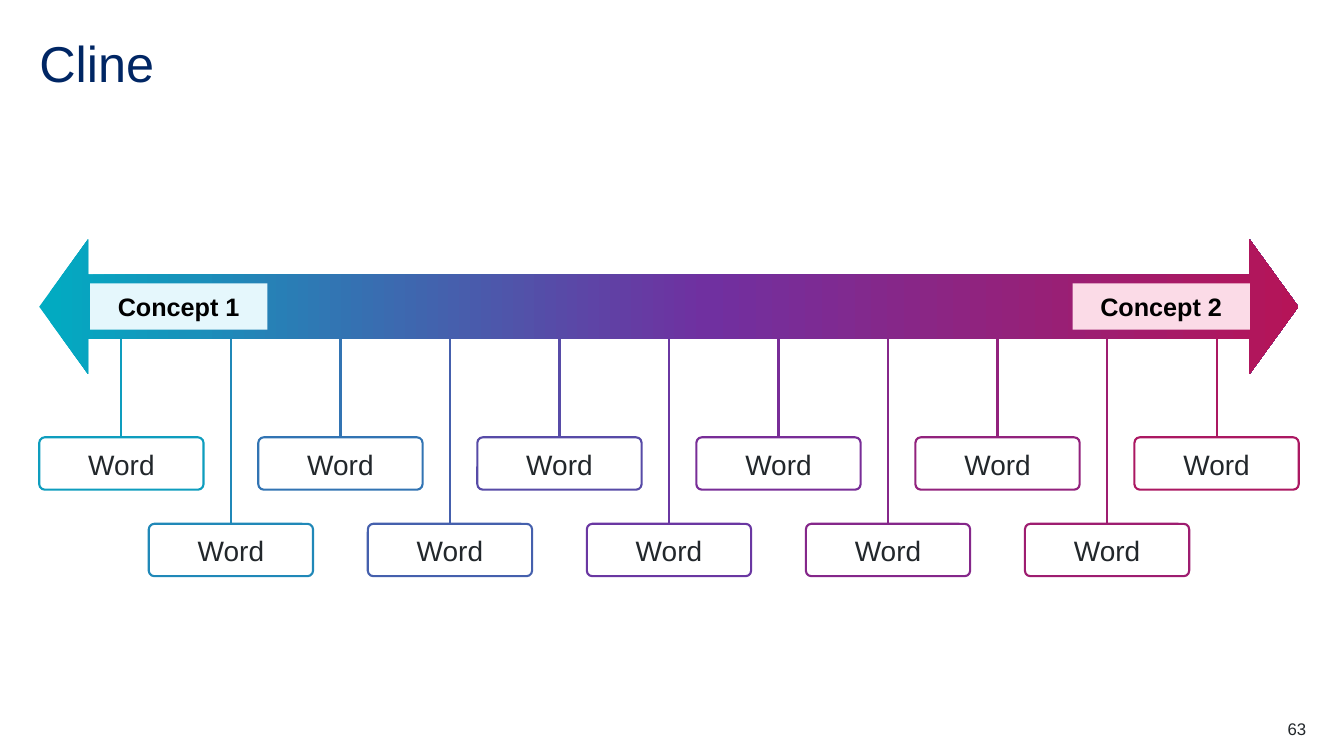
from copy import deepcopy
from pptx import Presentation
from pptx.dml.color import RGBColor
from pptx.enum.shapes import MSO_CONNECTOR, MSO_SHAPE
from pptx.enum.text import MSO_ANCHOR, MSO_AUTO_SIZE, PP_ALIGN
from pptx.oxml.ns import qn
from pptx.util import Cm, Pt
from lxml.etree import SubElement


def rgb(value):
    return RGBColor.from_string(value)


def write(sp, text, size, color, align, anchor, margins=(0, 0, 0, 0), bold=False):
    tf = sp.text_frame
    tf.word_wrap = True
    tf.auto_size = MSO_AUTO_SIZE.NONE
    tf.vertical_anchor = anchor
    tf.margin_left, tf.margin_top, tf.margin_right, tf.margin_bottom = map(Cm, margins)
    p = tf.paragraphs[0]
    p.alignment = align
    r = p.add_run()
    r.text = text
    r.font.name = "Arial"
    r.font.size = Pt(size)
    r.font.bold = bold
    r.font.color.rgb = rgb(color)
    return p


prs = Presentation()
prs.slide_width, prs.slide_height = Cm(33.87), Cm(19.05)
s = prs.slides.add_slide(prs.slide_layouts[5])

title = s.shapes.title
title.left, title.top, title.width, title.height = Cm(0.99), Cm(0.99), Cm(31.9), Cm(1.52)
p = write(title, "Cline", 36, "002664", PP_ALIGN.LEFT, MSO_ANCHOR.TOP)
p.line_spacing = 0.9

arrow = s.shapes.add_shape(MSO_SHAPE.LEFT_RIGHT_ARROW, Cm(0.99), Cm(6.03), Cm(31.73), Cm(3.4))
arrow.shadow.inherit = False
arrow.adjustments[0] = 0.475
arrow.adjustments[1] = 0.362
arrow.line.fill.background()
arrow.fill.gradient()
arrow.fill.gradient_angle = 0
gs = arrow._element.spPr.find(".//" + qn("a:gs"))
gs.addnext(deepcopy(gs))
stops = [(0, "00ACC2"), (0.53, "7030A0"), (1, "B51458")]
for stop, (position, color) in zip(arrow.fill.gradient_stops, stops):
    stop.position = position
    stop.color.rgb = rgb(color)

for text, left, color in [("Concept 1", 2.27, "E5F7FC"), ("Concept 2", 27.03, "FBDBE7")]:
    sp = s.shapes.add_shape(MSO_SHAPE.RECTANGLE, Cm(left), Cm(7.14), Cm(4.47), Cm(1.17))
    sp.shadow.inherit = False
    sp.fill.solid()
    sp.fill.fore_color.rgb = rgb(color)
    sp.line.fill.background()
    write(sp, text, 18, "000000", PP_ALIGN.CENTER, MSO_ANCHOR.MIDDLE, (0.23, 0.1, 0.23, 0.1), True)

colors = ["0E9DBE", "2088B8", "3274B3", "4560AD", "574BA7", "6A37A2",
          "782D97", "85278A", "92227D", "9E1D70", "AB1862"]
box_w, box_h, pitch = 4.14, 1.32, 2.76
row_tops = [11.02, 13.2]
for i, color in enumerate(colors):
    left, top = 0.99 + i * pitch, row_tops[i % 2]
    sp = s.shapes.add_shape(MSO_SHAPE.ROUNDED_RECTANGLE, Cm(left), Cm(top), Cm(box_w), Cm(box_h))
    sp.shadow.inherit = False
    sp.adjustments[0] = 0.106
    sp.fill.background()
    write(sp, "Word", 20, "22272B", PP_ALIGN.CENTER, MSO_ANCHOR.BOTTOM, (0.41, 0, 0.41, 0.18))
    x = Cm(left + box_w / 2)
    stem = s.shapes.add_connector(MSO_CONNECTOR.STRAIGHT, x, Cm(8.53), x, Cm(top))
    SubElement(stem._element.spPr, qn("a:effectLst"))
    for shape in (sp, stem):
        shape.line.color.rgb = rgb(color)
        shape.line.width = Pt(1.5)

number = s.shapes.add_textbox(Cm(30.91), Cm(18.11), Cm(2.01), Cm(0.51))
write(number, "63", 12, "22272B", PP_ALIGN.RIGHT, MSO_ANCHOR.TOP)

prs.save("out.pptx")
